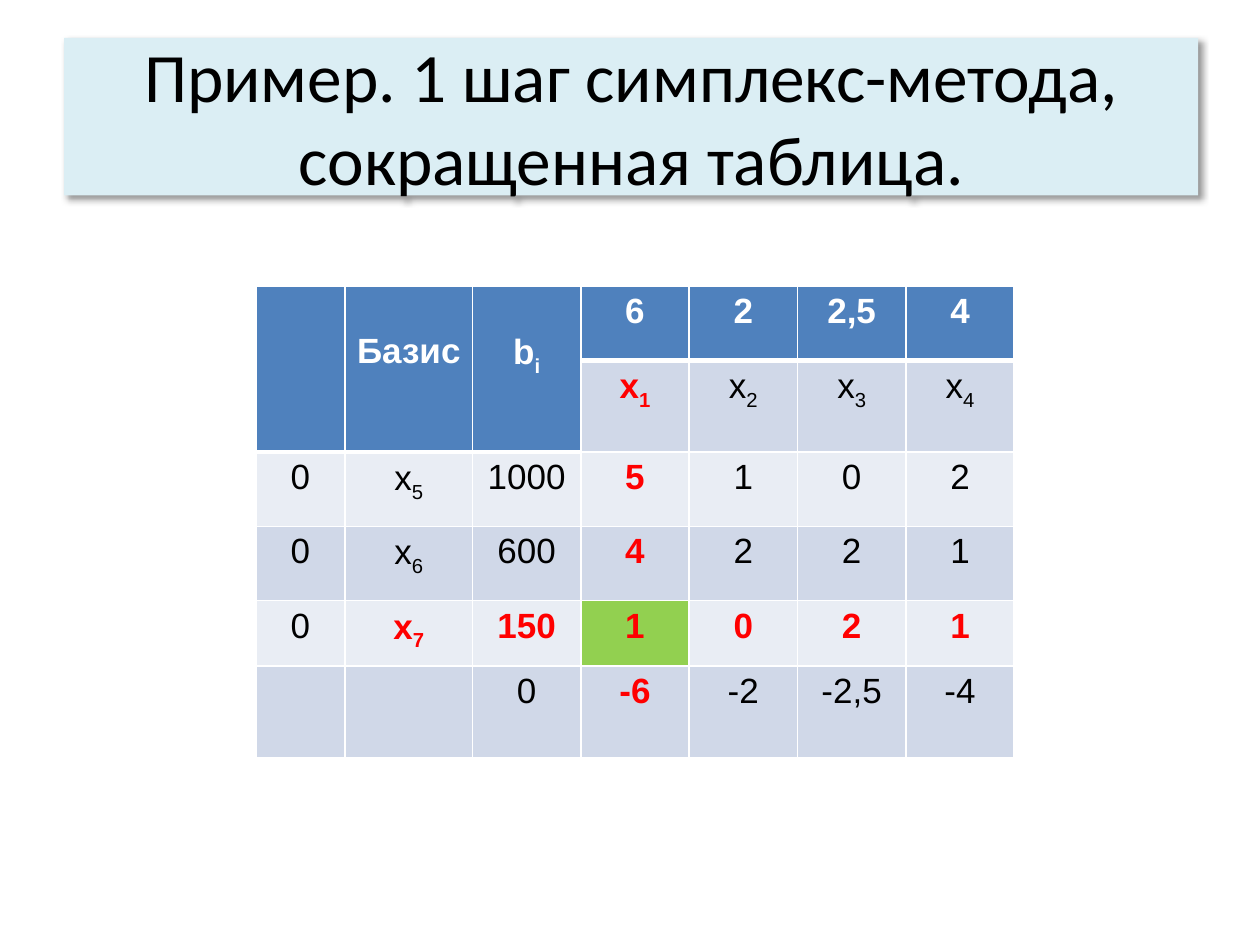
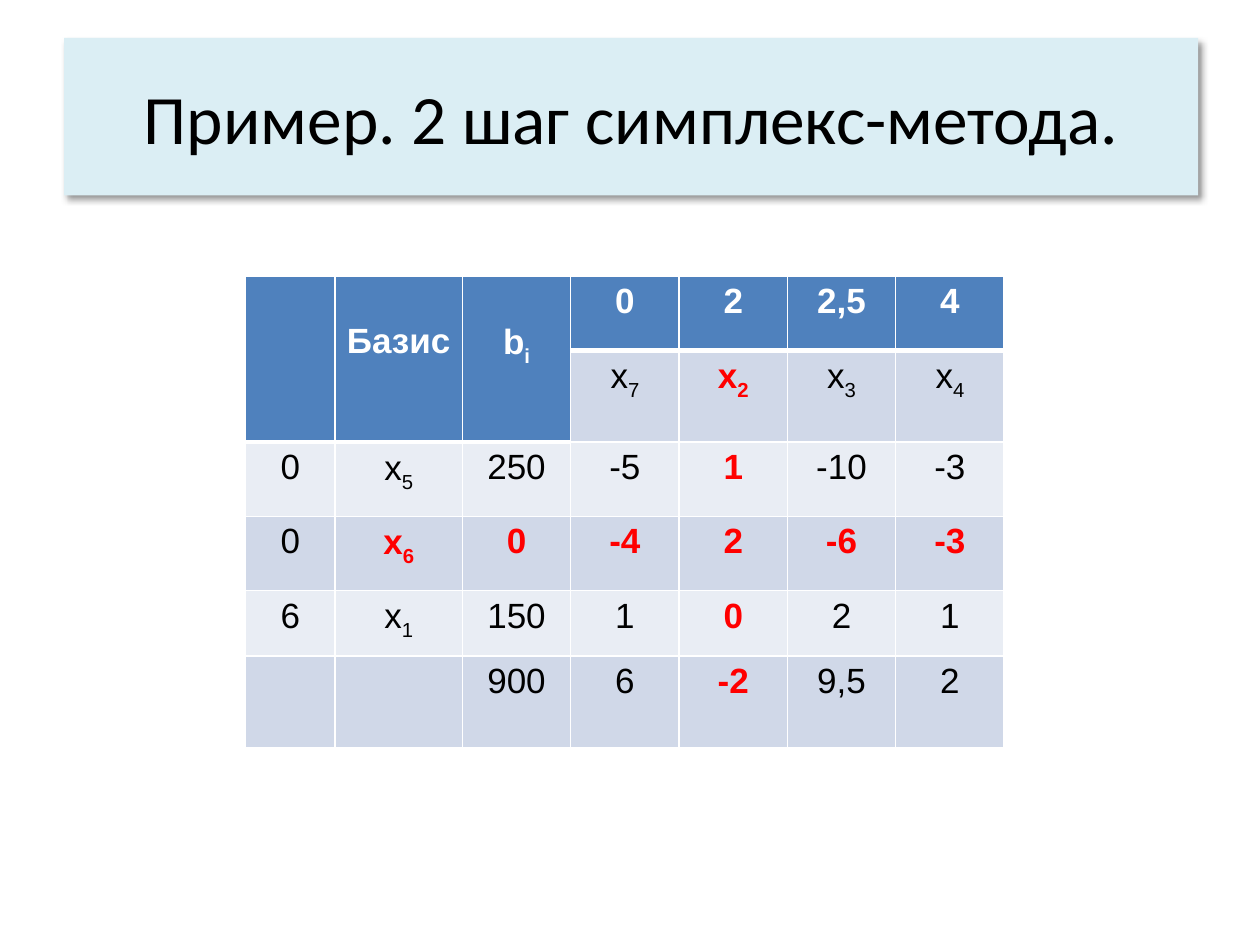
import pptx
import pptx.dml.color
import pptx.enum.shapes
import pptx.enum.text
import pptx.oxml.ns
import pptx.util
from lxml import etree

Inches = pptx.util.Inches
Pt = pptx.util.Pt
RGBColor = pptx.dml.color.RGBColor

BLACK = RGBColor(0x00, 0x00, 0x00)
WHITE = RGBColor(0xFF, 0xFF, 0xFF)
RED = RGBColor(0xFF, 0x00, 0x00)
GREEN = RGBColor(0x92, 0xD0, 0x50)
TITLE_FILL = RGBColor(0xDB, 0xEE, 0xF4)
HEADER_FILL = RGBColor(0x4F, 0x81, 0xBD)
BAND_FILLS = (RGBColor(0xE9, 0xED, 0xF4), RGBColor(0xD0, 0xD8, 0xE8))

COLUMN_WIDTHS = [0.71, 1.01] + [0.86] * 5
ROW_HEIGHTS = [0.59, 0.71, 0.59, 0.59, 0.52, 0.73]
MERGED_COLUMNS = 3

FIRST_STEP = [
    ["", "Базис", "b_i", "6", "2", "2,5", "4"],
    ["", "", "", "x_1", "x_2", "x_3", "x_4"],
    ["0", "x_5", "1000", "5", "1", "0", "2"],
    ["0", "x_6", "600", "4", "2", "2", "1"],
    ["0", "x_7", "150", "1", "0", "2", "1"],
    ["", "", "0", "-6", "-2", "-2,5", "-4"],
]
SECOND_STEP = [
    ["", "Базис", "b_i", "0", "2", "2,5", "4"],
    ["", "", "", "x_7", "x_2", "x_3", "x_4"],
    ["0", "x_5", "250", "-5", "1", "-10", "-3"],
    ["0", "x_6", "0", "-4", "2", "-6", "-3"],
    ["6", "x_1", "150", "1", "0", "2", "1"],
    ["", "", "900", "6", "-2", "9,5", "2"],
]


def add_element(parent, tag, **attributes):
    element = etree.SubElement(parent, pptx.oxml.ns.qn(tag))
    for name, value in attributes.items():
        element.set(name, str(value))
    return element


class SimplexDeck:
    title_font = "Calibri"
    title_size = Pt(39.6)
    table_font = "Arial"
    table_size = Pt(20)

    def __init__(self):
        self.presentation = pptx.Presentation()
        self.presentation.slide_width = Inches(10)
        self.presentation.slide_height = Inches(7.5)
        self.slide = None

    def add_slide(self, title):
        self.slide = self.presentation.slides.add_slide(self.presentation.slide_layouts[6])
        self.add_title(title)

    def add_title(self, text):
        shape = self.slide.shapes.add_shape(
            pptx.enum.shapes.MSO_SHAPE.RECTANGLE,
            Inches(0.51), Inches(0.3), Inches(9), Inches(1.25))
        shape.fill.solid()
        shape.fill.fore_color.rgb = TITLE_FILL
        shape.line.fill.background()
        self.add_shadow(shape)
        text_frame = shape.text_frame
        text_frame.word_wrap = True
        text_frame.vertical_anchor = pptx.enum.text.MSO_ANCHOR.MIDDLE
        text_frame.text = text
        paragraph = text_frame.paragraphs[0]
        paragraph.alignment = pptx.enum.text.PP_ALIGN.CENTER
        self.format_run(paragraph.runs[0], self.title_font, self.title_size, BLACK)

    def add_shadow(self, shape):
        shape.shadow.inherit = False
        effects = shape.element.spPr.find(pptx.oxml.ns.qn("a:effectLst"))
        shadow = add_element(effects, "a:outerShdw", blurRad=Pt(4), dist=Pt(3),
                             dir=45 * 60000, algn="tl", rotWithShape=0)
        color = add_element(shadow, "a:srgbClr", val=BLACK)
        add_element(color, "a:alpha", val=40000)

    def format_run(self, run, font_name, size, color, bold=False):
        run.font.name = font_name
        run.font.size = size
        run.font.color.rgb = color
        run.font.bold = bold

    def add_simplex_table(self, left, top, rows, pivot_row, pivot_column, mark_pivot=False):
        """Draw a tableau with its pivot row and column in red."""
        table = self.slide.shapes.add_table(
            len(rows), len(rows[0]), Inches(left), Inches(top),
            Inches(sum(COLUMN_WIDTHS)), Inches(sum(ROW_HEIGHTS))).table
        for column, width in zip(table.columns, COLUMN_WIDTHS):
            column.width = Inches(width)
        for row, height in zip(table.rows, ROW_HEIGHTS):
            row.height = Inches(height)
        for column_index in range(MERGED_COLUMNS):
            table.cell(0, column_index).merge(table.cell(1, column_index))

        for row_index, values in enumerate(rows):
            for column_index, value in enumerate(values):
                cell = table.cell(row_index, column_index)
                merged = row_index < 2 and column_index < MERGED_COLUMNS
                header = row_index == 0 or merged
                in_pivot = not header and column_index > 0 and (
                    row_index == pivot_row or column_index == pivot_column)
                self.add_borders(cell, row_index == 0, header)
                cell.fill.solid()
                if mark_pivot and (row_index, column_index) == (pivot_row, pivot_column):
                    cell.fill.fore_color.rgb = GREEN
                else:
                    cell.fill.fore_color.rgb = HEADER_FILL if header else BAND_FILLS[row_index % 2]
                cell.margin_left = cell.margin_right = Inches(0.07)
                cell.margin_top = Inches(0.32 if merged else 0)
                cell.margin_bottom = 0
                color = WHITE if header else RED if in_pivot else BLACK
                if value:
                    self.write_cell(cell, value, color, header or in_pivot)

    def add_borders(self, cell, first_row, header):
        widths = {"a:lnL": 1, "a:lnR": 1, "a:lnT": 1, "a:lnB": 3 if header else 1}
        if not first_row:
            del widths["a:lnT"]
        properties = cell._tc.get_or_add_tcPr()
        for tag, width in widths.items():
            line = add_element(properties, tag, w=Pt(width))
            add_element(add_element(line, "a:solidFill"), "a:srgbClr", val=WHITE)

    def write_cell(self, cell, value, color, bold):
        """Write a value; the part after an underscore becomes a subscript."""
        paragraph = cell.text_frame.paragraphs[0]
        paragraph.alignment = pptx.enum.text.PP_ALIGN.CENTER
        paragraph.line_spacing = 1.15
        for part_index, part in enumerate(value.split("_")):
            run = paragraph.add_run()
            run.text = part
            self.format_run(run, self.table_font, self.table_size, color, bold)
            if part_index:
                run.font._element.set("baseline", "-25000")


def main():
    deck = SimplexDeck()
    deck.add_slide("Пример. 1 шаг симплекс-метода, сокращенная таблица.")
    deck.add_simplex_table(2.03, 2.27, FIRST_STEP, pivot_row=4, pivot_column=3, mark_pivot=True)
    deck.add_slide("Пример. 2 шаг симплекс-метода.")
    deck.add_simplex_table(1.95, 2.19, SECOND_STEP, pivot_row=3, pivot_column=4)
    deck.presentation.save("out.pptx")


if __name__ == "__main__":
    main()
